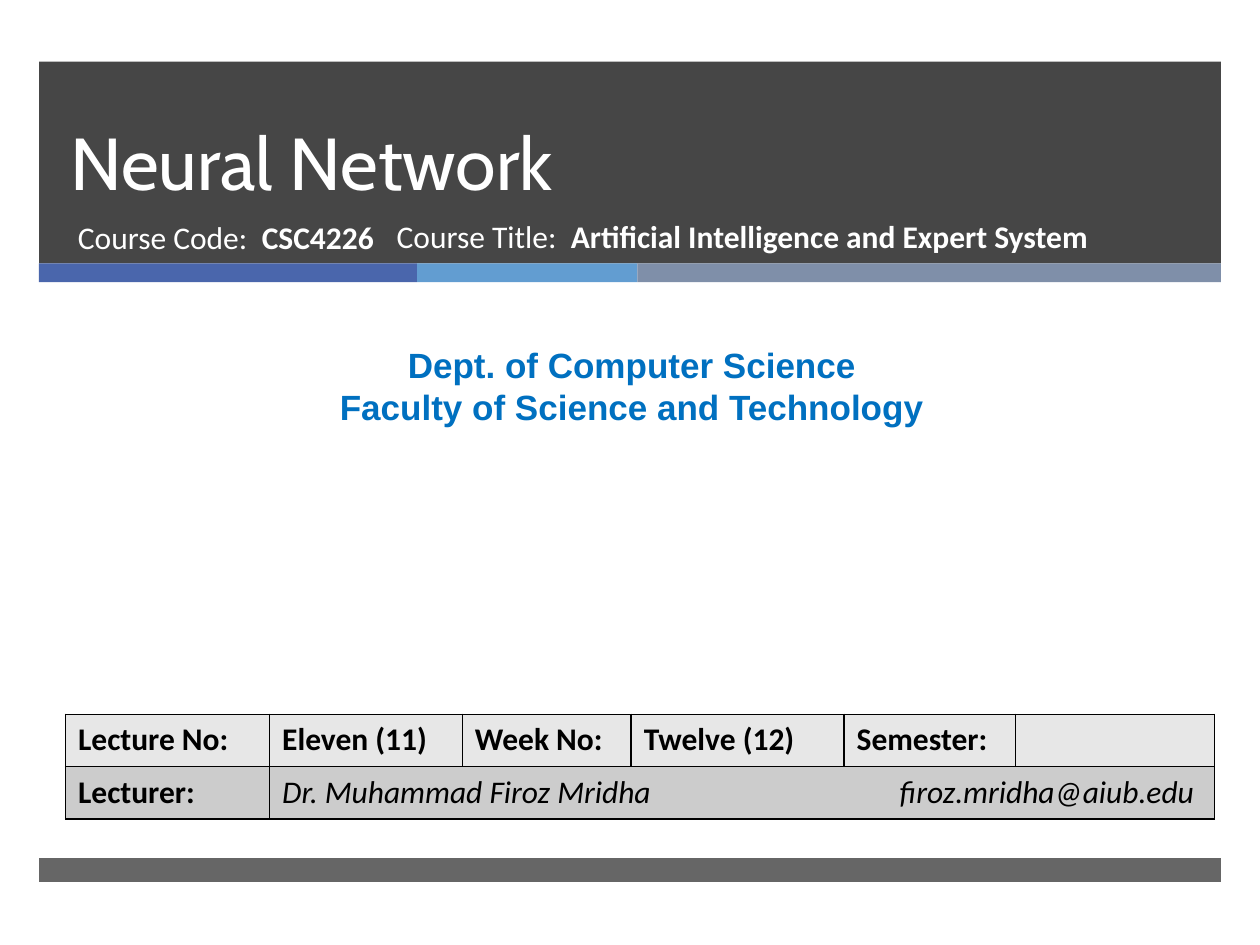
from dataclasses import dataclass

from lxml.etree import SubElement
from pptx import Presentation
from pptx.dml.color import RGBColor
from pptx.enum.shapes import MSO_SHAPE as Shape
from pptx.enum.text import MSO_ANCHOR as Anchor, PP_ALIGN as Align
from pptx.oxml.ns import qn
from pptx.util import Inches, Pt


@dataclass
class Band:
    left: float
    top: float
    width: float
    height: float
    color: str
    opacity: int = 100


@dataclass
class Span:
    text: str
    bold: bool = False
    italic: bool = False


@dataclass
class Label:
    left: float
    top: float
    width: float
    height: float
    lines: list[list[Span]]
    font: str = "Calibri"
    size: int = 18
    color: str = "FFFFFF"
    align: Align = Align.LEFT
    spacing: int | None = None


EDGE, WIDTH = 0.31, 9.38
DARK, BLACK = "262626", "000000"
BANDS = [
    Band(EDGE, 0.49, WIDTH, 1.6, DARK, 85),
    Band(EDGE, 2.09, 3, 0.15, "4A66AC"),
    Band(3.31, 2.09, 1.75, 0.15, "629DD1"),
    Band(5.06, 2.09, 4.63, 0.15, "7F8FA9"),
    Band(EDGE, 6.81, WIDTH, 0.19, DARK, 70),
]
LABELS = [
    Label(0.52, 1.68, 3.05, 0.53,
          [[Span("Course Code:  "), Span("CSC4226", bold=True)]]),
    Label(0.08, 2.68, 9.87, 0.77,
          [[Span("Dept. of Computer Science", bold=True)],
           [Span("Faculty of Science and Technology", bold=True)]],
          "Arial", 20, "0070C0", Align.CENTER, 24),
    Label(3.05, 1.67, 5.72, 0.53,
          [[Span("Course Title:  "),
            Span("Artificial Intelligence and Expert System", bold=True)]]),
]
COLUMNS = [1.62, 1.53, 1.34, 1.69, 1.36, 1.58]
ROW_HEIGHT = 0.415
ROW_FILLS = ["E7E7E7", "CCCCCC"]
ROWS = [
    [Span(text, bold=True) for text in
     ("Lecture No:", "Eleven (11)", "Week No:", "Twelve (12)", "Semester:")],
    [Span("Lecturer:", bold=True),
     Span("Dr. Muhammad Firoz Mridha\tfiroz.mridha@aiub.edu", italic=True)],
]


def rgb(color: str) -> RGBColor:
    return RGBColor.from_string(color)


def add_span(para, span: Span, font: str, size: int, color: str) -> None:
    run = para.add_run()
    run.text = span.text
    run.font.name = font
    run.font.size = Pt(size)
    run.font.bold = span.bold
    run.font.italic = span.italic
    run.font.color.rgb = rgb(color)


def add_band(page, band: Band) -> None:
    box = page.shapes.add_shape(
        Shape.RECTANGLE, Inches(band.left), Inches(band.top),
        Inches(band.width), Inches(band.height))
    box.shadow.inherit = False
    box.line.fill.background()
    box.fill.solid()
    box.fill.fore_color.rgb = rgb(band.color)
    if band.opacity < 100:
        color = next(box._element.spPr.iter(qn("a:srgbClr")))
        SubElement(color, qn("a:alpha"), val=str(band.opacity * 1000))


def place_title(page) -> None:
    title = page.shapes.title
    page.shapes._spTree.append(title._element)
    title.left, title.top = Inches(0.46), Inches(0.49)
    title.width, title.height = Inches(8.54), Inches(1.19)
    frame = title.text_frame
    frame.vertical_anchor = Anchor.BOTTOM
    para = frame.paragraphs[0]
    para.alignment = Align.LEFT
    para.line_spacing = Pt(46)
    add_span(para, Span("Neural Network"), "Cabin", 42, "FFFFFF")


def add_label(page, label: Label) -> None:
    box = page.shapes.add_textbox(
        Inches(label.left), Inches(label.top),
        Inches(label.width), Inches(label.height))
    frame = box.text_frame
    frame.word_wrap = True
    for index, spans in enumerate(label.lines):
        para = frame.add_paragraph() if index else frame.paragraphs[0]
        para.alignment = label.align
        if label.spacing:
            para.line_spacing = Pt(label.spacing)
        for span in spans:
            add_span(para, span, label.font, label.size, label.color)


def style_cell(cell, fill: str) -> None:
    props = cell._tc.get_or_add_tcPr()
    for side in ("lnL", "lnR", "lnT", "lnB"):
        line = SubElement(props, qn(f"a:{side}"), w=str(Pt(1)))
        solid = SubElement(line, qn("a:solidFill"))
        SubElement(solid, qn("a:srgbClr"), val=BLACK)
    cell.fill.solid()
    cell.fill.fore_color.rgb = rgb(fill)


def add_tab(para, position: float) -> None:
    tabs = SubElement(para._p.get_or_add_pPr(), qn("a:tabLst"))
    SubElement(tabs, qn("a:tab"), pos=str(Inches(position)), algn="l")


def add_lecture_table(page) -> None:
    table = page.shapes.add_table(
        len(ROWS), len(COLUMNS), Inches(0.52), Inches(5.67),
        Inches(sum(COLUMNS)), Inches(ROW_HEIGHT * len(ROWS))).table
    for column, width in zip(table.columns, COLUMNS):
        column.width = Inches(width)
    for row_index, (spans, fill) in enumerate(zip(ROWS, ROW_FILLS)):
        table.rows[row_index].height = Inches(ROW_HEIGHT)
        for column_index in range(len(COLUMNS)):
            style_cell(table.cell(row_index, column_index), fill)
        for column_index, span in enumerate(spans):
            para = table.cell(row_index, column_index).text_frame.paragraphs[0]
            if "\t" in span.text:
                add_tab(para, 4.9)
            add_span(para, span, "Calibri", 18, BLACK)
    table.cell(1, 1).merge(table.cell(1, len(COLUMNS) - 1))


def main() -> None:
    deck = Presentation()
    deck.slide_width, deck.slide_height = Inches(10), Inches(7.5)
    page = deck.slides.add_slide(deck.slide_layouts[5])
    for band in BANDS:
        add_band(page, band)
    place_title(page)
    for label in LABELS:
        add_label(page, label)
    add_lecture_table(page)
    deck.save("out.pptx")


if __name__ == "__main__":
    main()
